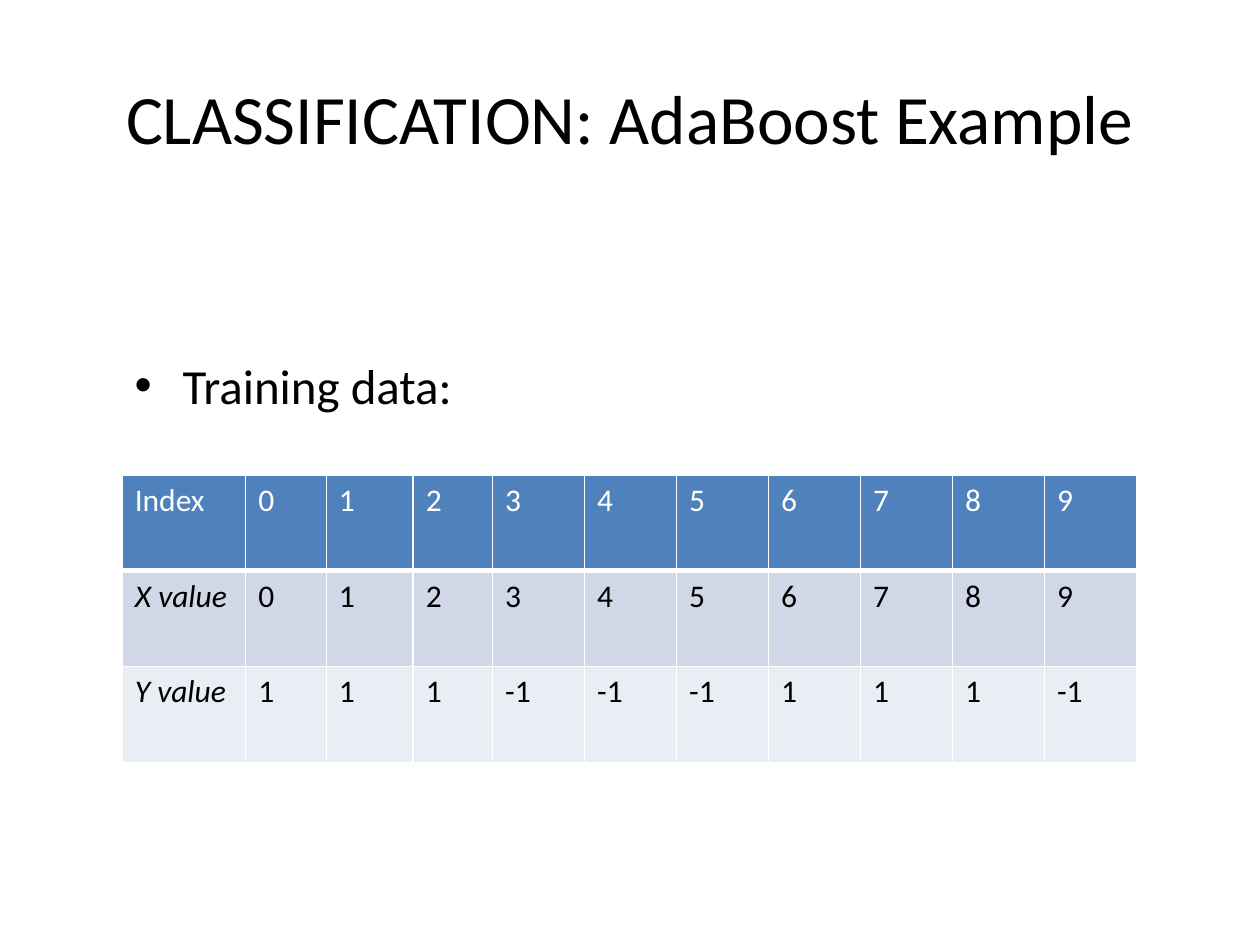
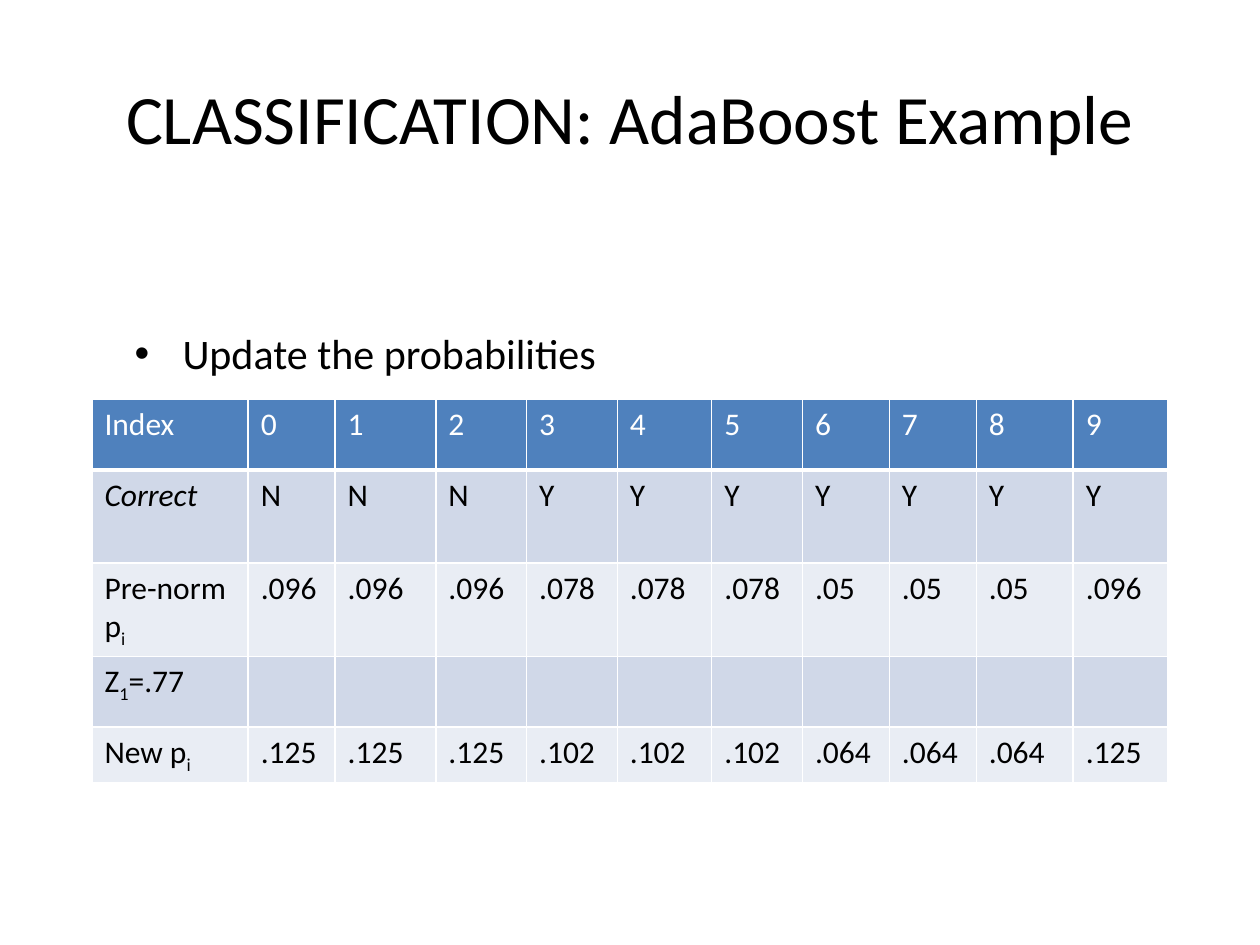
"""Build two slides on an AdaBoost example, each with a bullet and a data table."""
from lxml import etree
from pptx import Presentation
from pptx.dml.color import RGBColor
from pptx.enum import text as t
from pptx.oxml.ns import qn
from pptx.util import Inches, Pt

FONT = "Calibri"
BLACK = RGBColor(0, 0, 0)
WHITE = RGBColor(255, 255, 255)
BLUE = RGBColor(0x4F, 0x81, 0xBD)
BANDS = [RGBColor(0xD0, 0xD8, 0xE8), RGBColor(0xE9, 0xED, 0xF4)]

TITLE = "CLASSIFICATION: AdaBoost Example"
HEAD = ["Index", *"0123456789"]
SLIDES = [
    {
        "point": "Training data:", "size": 28, "top": 2.77,
        "at": (0.97, 3.77),
        "cols": [0.98, 0.64, 0.69, 0.63] + [0.73] * 7,
        "rows": [0.76] * 3,
        "slant": ["X value", "Y value"],
        "data": [
            HEAD,
            ["X value", *"0123456789"],
            ["Y value"] + ["1"] * 3 + ["-1"] * 3 + ["1"] * 3 + ["-1"],
        ],
    },
    {
        "point": "Update the probabilities", "size": 24, "top": 2.55,
        "at": (0.73, 3.17),
        "cols": [1.24, 0.69, 0.8, 0.72, 0.72, 0.75, 0.72, 0.69, 0.69, 0.77, 0.75],
        "rows": [0.56, 0.74, 0.56, 0.56, 0.4],
        "slant": ["Correct"],
        "data": [
            HEAD,
            ["Correct", *"NNNYYYYYYY"],
            ["Pre-norm\np_i"] + [".096"] * 3 + [".078"] * 3 + [".05"] * 3 + [".096"],
            ["Z_1=.77"] + [""] * 10,
            ["New p_i"] + [".125"] * 3 + [".102"] * 3 + [".064"] * 3 + [".125"],
        ],
    },
]


def write(frame, words, size=18, color=BLACK, italic=False, align=None, bullet=False):
    """Fill a frame; an underscore lowers the next character, a newline starts a paragraph."""
    for num, line in enumerate(words.split("\n")):
        para = frame.add_paragraph() if num else frame.paragraphs[0]
        para.alignment = align
        para.font.size = Pt(size)
        if bullet:
            props = para._p.get_or_add_pPr()
            props.set("marL", str(Inches(0.38)))
            props.set("indent", str(-Inches(0.38)))
            face = etree.Element(qn("a:buFont"), typeface="Arial")
            mark = etree.Element(qn("a:buChar"), char="•")
            props.insert(0, face)
            props.insert(1, mark)
        first, *rest = line.split("_")
        parts = [(first, False)]
        for part in rest:
            parts += [(part[0], True), (part[1:], False)]
        for part, low in parts:
            if not part:
                continue
            run = para.add_run()
            run.text = part
            font = run.font
            font.name, font.size, font.italic = FONT, Pt(size), italic
            font.color.rgb = color
            if low:
                run._r.get_or_add_rPr().set("baseline", "-25000")


def add_box(slide, at, words, anchor=t.MSO_ANCHOR.TOP, **style):
    """Add a wrapped text box."""
    frame = slide.shapes.add_textbox(*map(Inches, at)).text_frame
    frame.word_wrap = True
    frame.vertical_anchor = anchor
    write(frame, words, **style)


def edge(cell, base):
    """Draw white borders round a cell, with the given width below it."""
    props = cell._tc.get_or_add_tcPr()
    for side, wide in zip("LRTB", (1, 1, 1, base)):
        line = etree.SubElement(props, qn("a:ln" + side), w=str(Pt(wide)))
        fill = etree.SubElement(line, qn("a:solidFill"))
        etree.SubElement(fill, qn("a:srgbClr"), val=str(WHITE))


def add_grid(slide, item):
    """Add the data table with a blue header and banded rows."""
    cols, rows = item["cols"], item["rows"]
    area = (*item["at"], sum(cols), sum(rows))
    grid = slide.shapes.add_table(len(rows), len(cols), *map(Inches, area)).table
    for col, wide in zip(grid.columns, cols):
        col.width = Inches(wide)
    for y, (row, high) in enumerate(zip(grid.rows, rows)):
        row.height = Inches(high)
        for cell, words in zip(row.cells, item["data"][y]):
            edge(cell, 1 if y else 3)
            cell.fill.solid()
            cell.fill.fore_color.rgb = BANDS[(y - 1) % 2] if y else BLUE
            write(cell.text_frame, words, color=BLACK if y else WHITE,
                  italic=words in item["slant"])


def main():
    """Build and save the deck."""
    deck = Presentation()
    deck.slide_width, deck.slide_height = Inches(10), Inches(7.5)
    for item in SLIDES:
        slide = deck.slides.add_slide(deck.slide_layouts[6])
        add_box(slide, (0.5, 0.3, 9, 1.25), TITLE, anchor=t.MSO_ANCHOR.MIDDLE,
                size=39.6, align=t.PP_ALIGN.CENTER)
        add_box(slide, (0.97, item["top"], 8.32, 4.13), item["point"],
                size=item["size"], bullet=True)
        add_grid(slide, item)
    deck.save("out.pptx")


if __name__ == "__main__":
    main()
